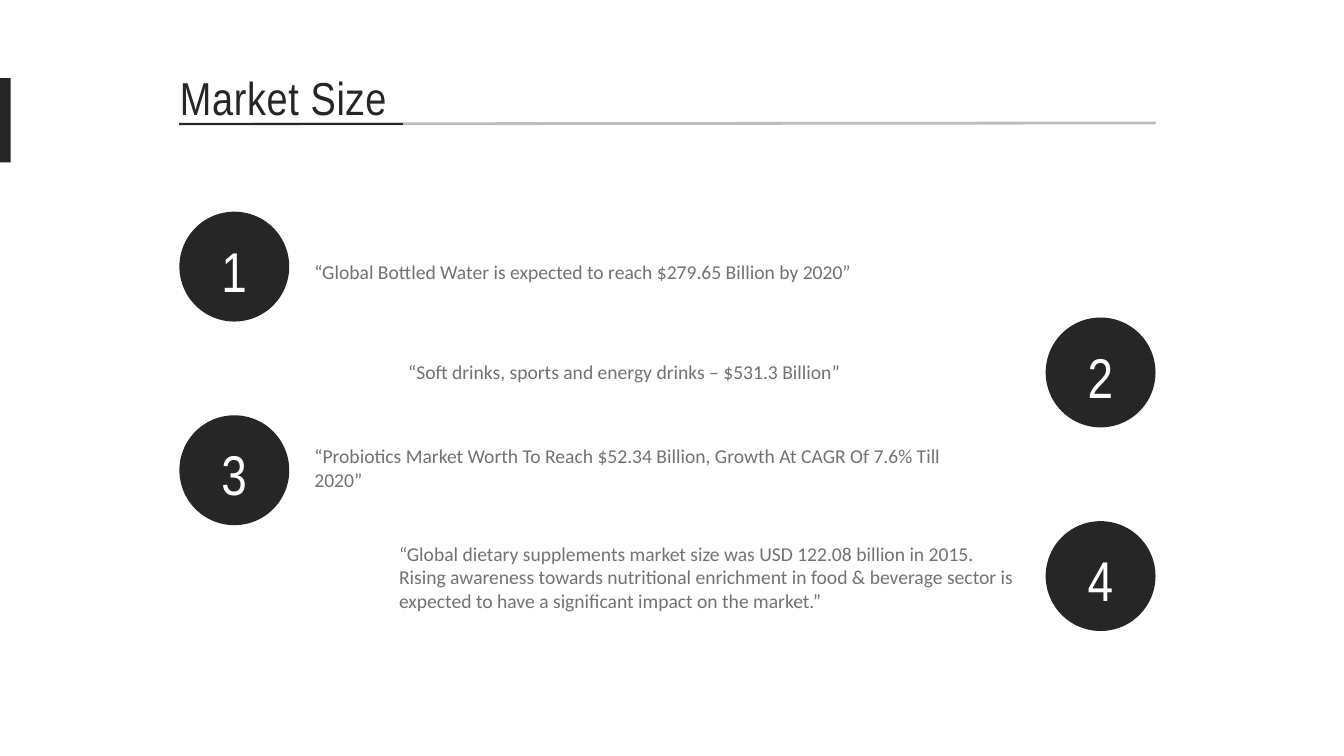
from pptx import Presentation
from pptx.dml.color import RGBColor
from pptx.enum.shapes import MSO_CONNECTOR, MSO_SHAPE
from pptx.enum.text import MSO_ANCHOR, MSO_AUTO_SIZE, PP_ALIGN
from pptx.oxml.ns import qn
from pptx.util import Inches, Pt
from lxml import etree

LINE = MSO_CONNECTOR.STRAIGHT
RECT = MSO_SHAPE.RECTANGLE
OVAL = MSO_SHAPE.OVAL
TOP = MSO_ANCHOR.TOP
GROW = MSO_AUTO_SIZE.SHAPE_TO_FIT_TEXT
LEFT = PP_ALIGN.LEFT
MID = PP_ALIGN.CENTER


def color(code):
    return RGBColor.from_string(code)


class Deck:
    dark, gray, white = "262626", "767171", "FFFFFF"
    head, body = "Arial Narrow", "Calibri"

    def __init__(self, slide):
        self.slide = slide

    def line(self, x1, y1, x2, y2, alpha=None):
        line = self.slide.shapes.add_connector(
            LINE, Inches(x1), Inches(y1), Inches(x2), Inches(y2))
        line.line.width = Pt(4)
        line.line.color.rgb = color(self.dark)
        props = line._element.spPr
        if alpha:
            tone = props.find(".//" + qn("a:srgbClr"))
            etree.SubElement(tone, qn("a:alpha")).set("val", str(alpha * 1000))
        etree.SubElement(props, qn("a:effectLst"))

    def shape(self, kind, x, y, w, h):
        shape = self.slide.shapes.add_shape(
            kind, Inches(x), Inches(y), Inches(w), Inches(h))
        shape.shadow.inherit = False
        shape.fill.solid()
        shape.fill.fore_color.rgb = color(self.dark)
        shape.line.fill.background()

    def fill(self, frame, lines, size, face, tone, align=LEFT, space=None):
        frame.word_wrap = True
        frame.auto_size = GROW
        frame.vertical_anchor = TOP
        for i, words in enumerate(lines):
            para = frame.add_paragraph() if i else frame.paragraphs[0]
            para.alignment = align
            para.line_spacing = 1.0
            run = para.add_run()
            run.text = words
            run.font.size = Pt(size)
            run.font.name = face
            run.font.color.rgb = color(tone)
            if space:
                run._r.get_or_add_rPr().set("spc", str(space * 100))

    def title(self, words, x, y, w, h):
        title = self.slide.shapes.title
        title.left, title.top = Inches(x), Inches(y)
        title.width, title.height = Inches(w), Inches(h)
        self.fill(title.text_frame, [words], 66, self.head, self.dark, space=1)

    def text(self, lines, x, y, w, h, *style, **more):
        box = self.slide.shapes.add_textbox(
            Inches(x), Inches(y), Inches(w), Inches(h))
        self.fill(box.text_frame, lines, *style, **more)

    def badge(self, digit, x, y):
        self.shape(OVAL, x, y, 2.18, 2.18)
        self.text([digit], x + 0.67, y + 0.44, 0.83, 1.45,
                  80, self.head, self.white, align=MID, space=1)

    def quote(self, lines, x, y, w, h):
        self.text(lines, x, y, w, h, 28, self.body, self.gray)


def main():
    show = Presentation()
    show.slide_width, show.slide_height = Inches(26.67), Inches(15)
    deck = Deck(show.slides.add_slide(show.slide_layouts[5]))

    deck.line(3.56, 2.46, 22.93, 2.44, alpha=30)
    deck.line(3.56, 2.46, 8, 2.46)
    deck.shape(RECT, 0, 1.55, 0.21, 1.67)
    deck.title("Market Size", 3.47, 1.32, 6.28, 1.21)

    sides = (3.56, 20.75)
    items = [
        (4.2, ["“Global Bottled Water is expected to reach $279.65 Billion by 2020”"],
         (6.14, 5.1, 12.55, 0.57)),
        (6.3, ["“Soft drinks, sports and energy drinks – $531.3 Billion”"],
         (8, 7.1, 13.02, 0.57)),
        (8.24, ["“Probiotics Market Worth To Reach $52.34 Billion, Growth At CAGR Of 7.6% Till",
                "2020”"],
         (6.14, 8.76, 13.62, 1.04)),
        (10.34, ["“Global dietary supplements market size was USD 122.08 billion in 2015. "
                 "Rising awareness towards nutritional enrichment in food & beverage sector is "
                 "expected to have a significant impact on the market.”"],
         (7.82, 10.7, 12.55, 1.51)),
    ]
    for i, (top, lines, area) in enumerate(items):
        deck.badge(str(i + 1), sides[i % 2], top)
        deck.quote(lines, *area)

    show.save("out.pptx")


if __name__ == "__main__":
    main()
